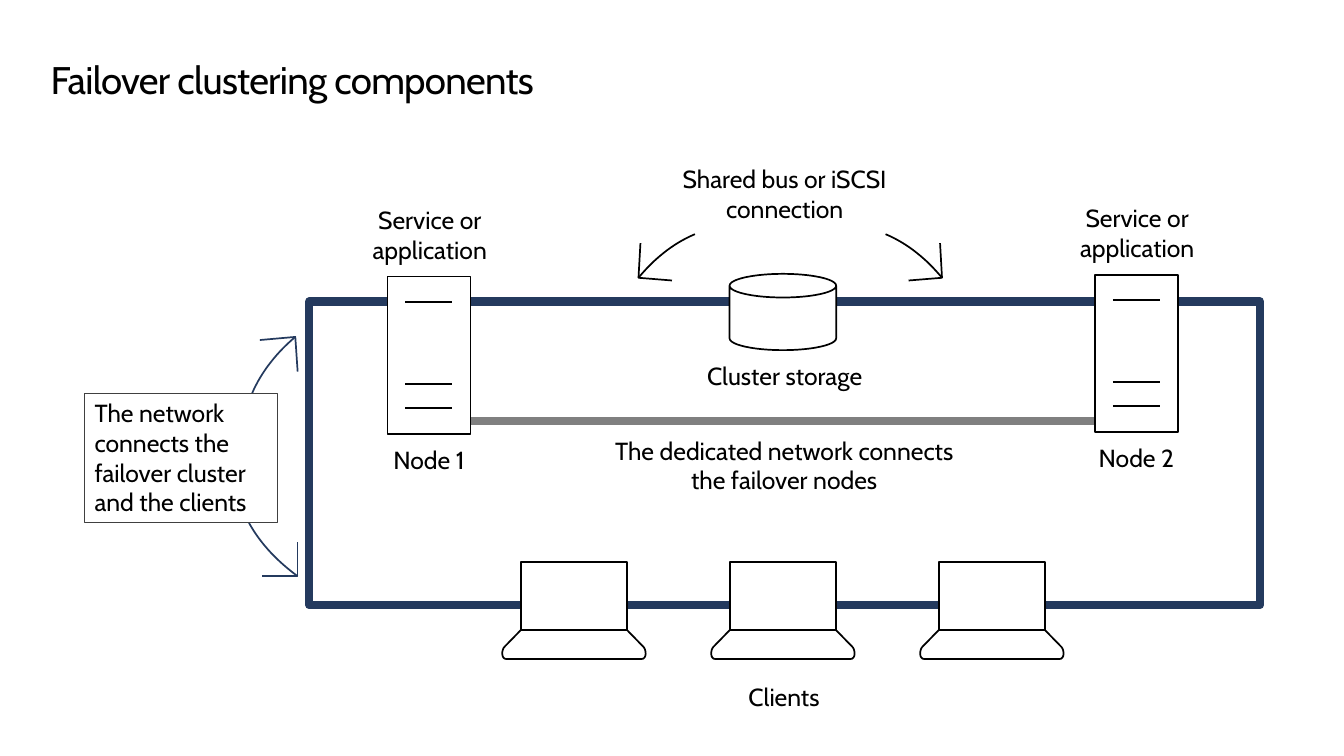
from lxml.etree import SubElement
from pptx import Presentation
from pptx.dml.color import RGBColor
from pptx.enum.shapes import MSO_CONNECTOR, MSO_SHAPE
from pptx.enum.text import MSO_ANCHOR, PP_ALIGN
from pptx.oxml.ns import qn
from pptx.util import Cm, Pt

FONT = "Cabin"
BLACK, WHITE, NAVY, GRAY, DARK = "000000", "FFFFFF", "243A5E", "808080", "404040"
BUS_ARROW = [(0.05, -0.89), (0.86, 0.07), (0.38, -0.46), (0.86, -0.87), (1.45, -1.12)]
UP_ARROW = [(-0.91, 0.08), (0.06, 0.89), (-0.45, 0.38), (-0.86, 0.87), (-1.11, 1.45)]
DOWN_ARROW = [(-0.91, 0), (0, -0.89), (-0.49, -0.36), (-0.94, -0.81), (-1.25, -1.37)]


def color(value):
    """Turn a hex string into a colour."""
    return RGBColor.from_string(value)


def style(sp, fill=None, line=None, width=1.25):
    """Set fill, outline and shadow of a shape."""
    sp.shadow.inherit = False
    if fill:
        sp.fill.solid()
        sp.fill.fore_color.rgb = color(fill)
    else:
        sp.fill.background()
    if line:
        sp.line.color.rgb = color(line)
        sp.line.width = Pt(width)
    else:
        sp.line.fill.background()


def shape(s, kind, box, fill=None, line=None, width=1.25):
    """Add a styled preset shape in a box given in centimetres."""
    sp = s.shapes.add_shape(kind, *map(Cm, box))
    style(sp, fill, line, width)
    return sp


def outline(s, contours, fill, line):
    """Add one freeform made of (points, closed) contours."""
    builder = None
    for points, closed in contours:
        pts = [(Cm(x), Cm(y)) for x, y in points]
        if builder is None:
            builder = s.shapes.build_freeform(*pts[0])
        else:
            builder.move_to(*pts[0])
        builder.add_line_segments(pts[1:], close=closed)
    style(builder.convert_to_shape(), fill, line)


def curve(p0, p1, p2, p3, steps=16):
    """Return points along a cubic curve."""
    return [
        tuple((1 - t) ** 3 * a + 3 * (1 - t) ** 2 * t * b + 3 * (1 - t) * t * t * c + t ** 3 * d
              for a, b, c, d in zip(p0, p1, p2, p3))
        for t in (i / steps for i in range(steps + 1))
    ]


def write(sp, text, align=PP_ALIGN.CENTER, size=18):
    """Write one paragraph into a shape and return its run."""
    tf = sp.text_frame
    tf.word_wrap = True
    tf.vertical_anchor = MSO_ANCHOR.TOP
    p = tf.paragraphs[0]
    p.text = text
    p.alignment = align
    r = p.runs[0]
    r.font.name, r.font.size = FONT, Pt(size)
    r.font.color.rgb = color(BLACK)
    return r


def label(s, box, text):
    """Add a centred text box."""
    write(s.shapes.add_textbox(*map(Cm, box)), text)


def arrow(s, tip, offsets, line, flip=1):
    """Add a curved arrow whose parts are offsets from its tip."""
    x, y = tip
    barb_a, barb_b, c1, c2, end = [(x + flip * dx, y + dy) for dx, dy in offsets]
    outline(s, [([barb_a, tip, barb_b], False), (curve(tip, c1, c2, end), False)], None, line)


def title(s, box, text):
    """Add the slide title."""
    sp = s.shapes.add_textbox(*map(Cm, box))
    tf = sp.text_frame
    tf.margin_left = tf.margin_top = tf.margin_bottom = 0
    r = write(sp, text, PP_ALIGN.LEFT, 28)
    tf.paragraphs[0].line_spacing = 0.9
    r._r.get_or_add_rPr().set("spc", "-50")


def node(s, box, name):
    """Add a server with its service caption and its name."""
    x, y, w, h = box
    frame = [(x, y), (x + w, y), (x + w, y + h), (x, y + h)]
    rules = [([(x + 0.46, y + dy), (x + 1.66, y + dy)], False) for dy in (0.66, 2.76, 3.37)]
    outline(s, [(frame, True)] + rules, WHITE, BLACK)
    label(s, (x - 0.86, y - 1.96, 3.89, 1.8), "Service or application")
    label(s, (x - 0.41, y + 4.19, 2.95, 1.02), name)


def storage(s, box):
    """Add the storage cylinder and its caption."""
    x, y, w, h = box
    can = shape(s, MSO_SHAPE.CAN, box, WHITE, BLACK)
    can.adjustments[0] = 0.31
    label(s, (x - 1.71, y + h + 0.14, w + 3.51, 1.02), "Cluster storage")


def laptop(s, box):
    """Add a laptop: a screen and a base with rounded feet."""
    x, y, w, h = box
    hinge = y + 1.74
    screen = [(x + 0.49, y), (x + w - 0.49, y), (x + w - 0.49, hinge), (x + 0.49, hinge)]
    foot = curve((0.06, 2.18), (0, 2.24), (-0.04, h), (0.12, h), 8)
    left = [(0.49, 1.74)] + foot
    right = [(w - dx, dy) for dx, dy in reversed(left)]
    base = [(x + dx, y + dy) for dx, dy in left + right]
    outline(s, [(screen, True), (base, True)], WHITE, BLACK)


def clients(s, box, count=3):
    """Add an evenly spaced row of laptops and its caption."""
    x, y, w, h = box
    width = 3.7
    pitch = (w - width) / (count - 1)
    for i in range(count):
        laptop(s, (x + i * pitch, y, width, h))
    label(s, (x + w / 2 - 1.43, y + h + 0.46, 2.92, 1.02), "Clients")


def dedicated_network(s, box):
    """Add the link between the nodes and its caption."""
    x, y, w, h = box
    link = s.shapes.add_connector(MSO_CONNECTOR.STRAIGHT, Cm(x), Cm(y), Cm(x + w), Cm(y))
    link.line.color.rgb = color(GRAY)
    link.line.width = Pt(6)
    SubElement(link._element.spPr, qn("a:effectLst"))
    sp = shape(s, MSO_SHAPE.RECTANGLE, (x + 3.43, y + 0.25, 9.27, h - 0.25), WHITE)
    write(sp, "The dedicated network connects the failover nodes")


def shared_bus(s, box):
    """Add the bus caption with an arrow on each side."""
    x, y, w, h = box
    label(s, box, "Shared bus or iSCSI connection")
    arrow(s, (x - 0.86, y + 3.05), BUS_ARROW, BLACK)
    arrow(s, (x + w + 1.15, y + 3.05), BUS_ARROW, BLACK, -1)


def network_note(s, box):
    """Add the boxed note with arrows towards the client network."""
    x, y, w, h = box
    arrow(s, (x + w + 0.46, y - 1.45), UP_ARROW, NAVY)
    arrow(s, (x + w + 0.52, y + h + 1.37), DOWN_ARROW, NAVY)
    sp = shape(s, MSO_SHAPE.RECTANGLE, box, WHITE, DARK, 0.75)
    write(sp, "The network connects the failover cluster and the clients", PP_ALIGN.LEFT)


def main():
    """Build the slide and save it."""
    prs = Presentation()
    prs.slide_width, prs.slide_height = Cm(34.54), Cm(19.43)
    s = prs.slides.add_slide(prs.slide_layouts[6])
    title(s, (1.3, 1.57, 32.03, 1.14), "Failover clustering components")
    shape(s, MSO_SHAPE.RECTANGLE, (7.95, 7.75, 24.43, 7.8), line=NAVY, width=6)
    dedicated_network(s, (12.09, 10.82, 16.46, 2.05))
    node(s, (9.96, 7.11, 2.13, 4.04), "Node 1")
    node(s, (28.14, 7.06, 2.13, 4.04), "Node 2")
    storage(s, (18.75, 7.04, 2.74, 1.96))
    clients(s, (12.9, 14.45, 14.44, 2.49))
    shared_bus(s, (17.27, 4.09, 5.79, 1.8))
    network_note(s, (2.18, 10.11, 4.95, 3.33))
    prs.save("out.pptx")


if __name__ == "__main__":
    main()
